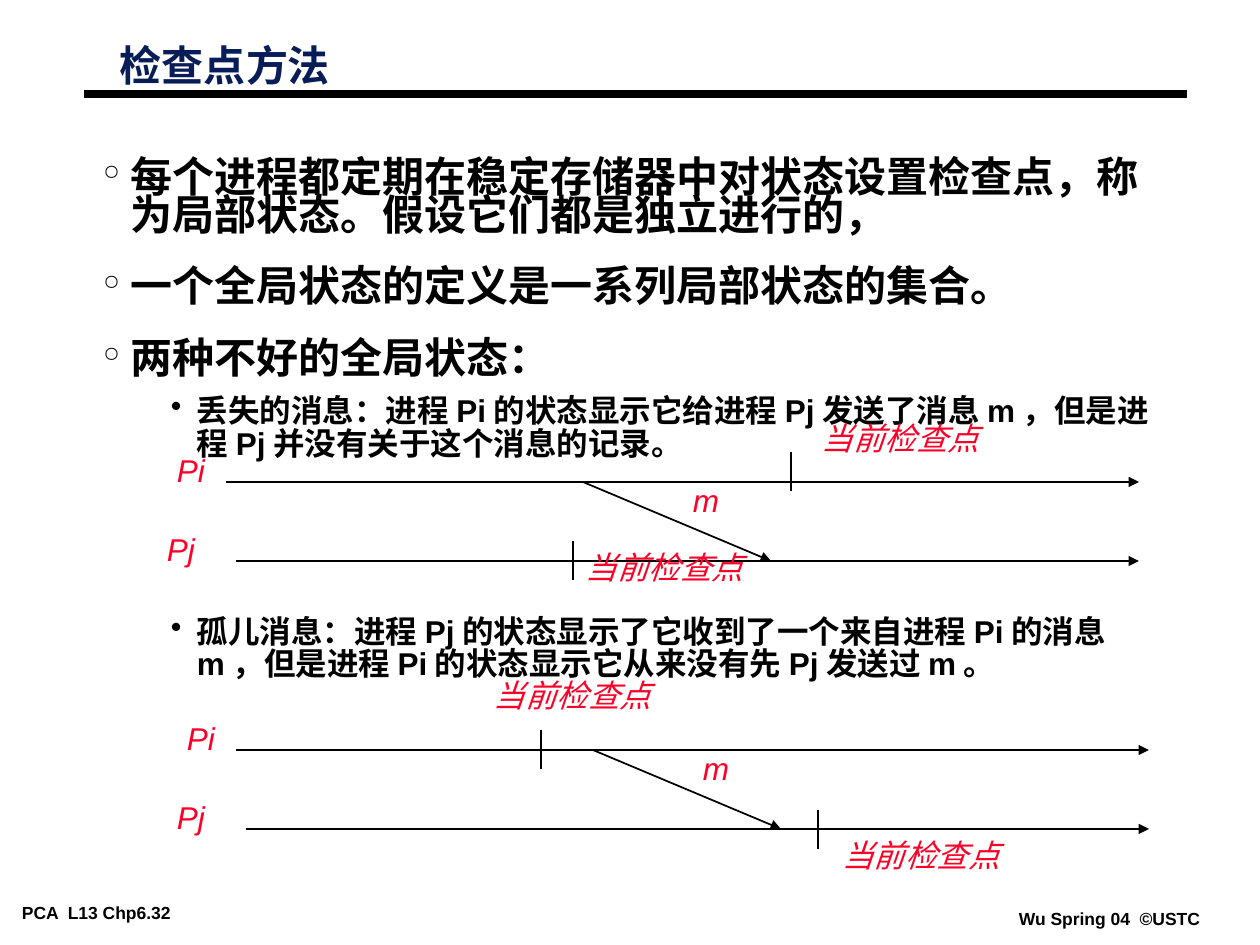
"""Build the slide on checkpointing, with lost and orphan message timelines."""
import pptx
import pptx.dml.color
import pptx.enum.shapes
import pptx.enum.text
import pptx.oxml
import pptx.oxml.ns
import pptx.util

COLORS = {"text": "000000", "title": "081D58", "accent": "FC0128"}
NARROW = (9, 4)
WIDE = (13, 6)
CHECKPOINT = "当前检查点"


class SlideBuilder:
    scale = 914400 / 126
    font_name = "Arial"

    def __init__(self, presentation):
        self.slide = presentation.slides.add_slide(presentation.slide_layouts[5])

    def px(self, length):
        return pptx.util.Emu(round(length * self.scale))

    def apply(self, target, values):
        for name, value in values.items():
            setattr(target, name, value)

    def color(self, name):
        return pptx.dml.color.RGBColor.from_string(COLORS[name])

    def add_xml(self, parent, tag, **attributes):
        child = parent.makeelement(pptx.oxml.ns.qn(tag), attributes)
        parent.append(child)
        return child

    def frame(self, shape, margins, wrap):
        across, down = (self.px(margin) for margin in margins)
        self.apply(shape.text_frame, {
            "margin_left": across, "margin_right": across,
            "margin_top": down, "margin_bottom": down,
            "word_wrap": wrap,
            "auto_size": pptx.enum.text.MSO_AUTO_SIZE.NONE,
            "vertical_anchor": pptx.enum.text.MSO_ANCHOR.TOP,
        })
        return shape.text_frame

    def add_text(self, paragraph, text, size, color, **style):
        run = paragraph.add_run()
        run.text = text
        values = {"name": self.font_name, "size": pptx.util.Pt(size), **style}
        self.apply(run.font, values)
        run.font.color.rgb = self.color(color)
        paragraph.alignment = pptx.enum.text.PP_ALIGN.LEFT

    def title(self, text, left, top, width, height):
        shape = self.slide.shapes.title
        self.apply(shape, {
            "left": self.px(left), "top": self.px(top),
            "width": self.px(width), "height": self.px(height),
        })
        paragraph = self.frame(shape, NARROW, True).paragraphs[0]
        paragraph.line_spacing = 0.87
        self.add_text(paragraph, text, 24, "title", bold=True)

    def text_box(self, left, top, width, height, margins, wrap=False):
        box = self.slide.shapes.add_textbox(*map(self.px, (left, top, width, height)))
        return self.frame(box, margins, wrap)

    def footer(self, text, left, top, width):
        frame = self.text_box(left, top, width, 28, NARROW)
        self.add_text(frame.paragraphs[0], text, 10, "text", bold=True)

    def label(self, text, left, top, width=53):
        frame = self.text_box(left, top, width, 50, WIDE)
        self.add_text(frame.paragraphs[0], text, 18, "accent", italic=True)

    def bullets(self, items, left, top, width, height):
        levels = [
            {"mark": "°", "size": 24, "spacing": 0.75, "margin": 28, "hang": 28},
            {"mark": "•", "size": 18, "spacing": 0.85, "margin": 94, "hang": 26},
        ]
        frame = self.text_box(left, top, width, height, NARROW, True)
        for index, (text, level, space_before) in enumerate(items):
            style = levels[level]
            paragraph = frame.add_paragraph() if index else frame.paragraphs[0]
            self.apply(paragraph, {
                "level": level,
                "line_spacing": style["spacing"],
                "space_before": pptx.util.Pt(space_before),
            })
            self.add_text(paragraph, text, style["size"], "text", bold=True)
            properties = paragraph._p.get_or_add_pPr()
            properties.set("marL", str(self.px(style["margin"])))
            properties.set("indent", str(-self.px(style["hang"])))
            bullet_color = self.add_xml(properties, "a:buClr")
            self.add_xml(bullet_color, "a:srgbClr", val=COLORS["text"])
            self.add_xml(properties, "a:buChar", char=style["mark"])

    def line(self, start_x, start_y, end_x, end_y, width=1, arrow=False):
        connector = self.slide.shapes.add_connector(
            pptx.enum.shapes.MSO_CONNECTOR.STRAIGHT,
            *map(self.px, (start_x, start_y, end_x, end_y)))
        connector.line.width = pptx.util.Pt(width)
        connector.line.color.rgb = self.color("text")
        properties = connector._element.spPr
        if arrow:
            self.add_xml(properties.get_or_add_ln(), "a:tailEnd", type="triangle")
        self.add_xml(properties, "a:effectLst")

    def timeline(self, left, top, checkpoints):
        bottom = top + 79
        self.line(left, top, left + 913, top, arrow=True)
        self.line(left + 10, bottom, left + 913, bottom, arrow=True)
        self.line(left + 357, top, left + 545, bottom, arrow=True)
        for tick_x, tick_y, label_x, label_y in checkpoints:
            self.line(tick_x, tick_y, tick_x, tick_y + 39)
            self.label(CHECKPOINT, label_x, label_y, 183)
        self.label("Pi", left - 62, top - 37)
        self.label("Pj", left - 72, top + 42)
        self.label("m", left + 454, top - 7)


def main():
    presentation = pptx.Presentation()
    presentation.slide_width = pptx.util.Inches(10)
    presentation.slide_height = pptx.util.Inches(7.5)
    builder = SlideBuilder(presentation)

    builder.footer("PCA  L13 Chp6.32", 13, 898, 232)
    builder.footer("Wu Spring 04  ©USTC", 1010, 904, 199)
    builder.line(84, 94, 1187, 94, width=4.5)
    builder.title("检查点方法", 111, 42, 500, 50)
    builder.bullets([
        ("每个进程都定期在稳定存储器中对状态设置检查点，称为局部状态。假设它们都是独立进行的，", 0, 19.5),
        ("一个全局状态的定义是一系列局部状态的集合。", 0, 19.5),
        ("两种不好的全局状态：", 0, 19.5),
        ("丢失的消息：进程Pi的状态显示它给进程Pj发送了消息m，但是进程Pj并没有关于这个消息的记录。", 1, 9),
        ("孤儿消息：进程Pj的状态显示了它收到了一个来自进程Pi的消息m，但是进程Pi的状态显示它从来没有先Pj发送过m。", 1, 89.5),
    ], 94, 158, 1081, 539)
    builder.timeline(226, 482, [(791, 452, 809, 413), (573, 541, 573, 542)])
    builder.timeline(236, 750, [(541, 730, 481, 670), (818, 810, 829, 830)])
    presentation.save("out.pptx")


if __name__ == "__main__":
    main()
